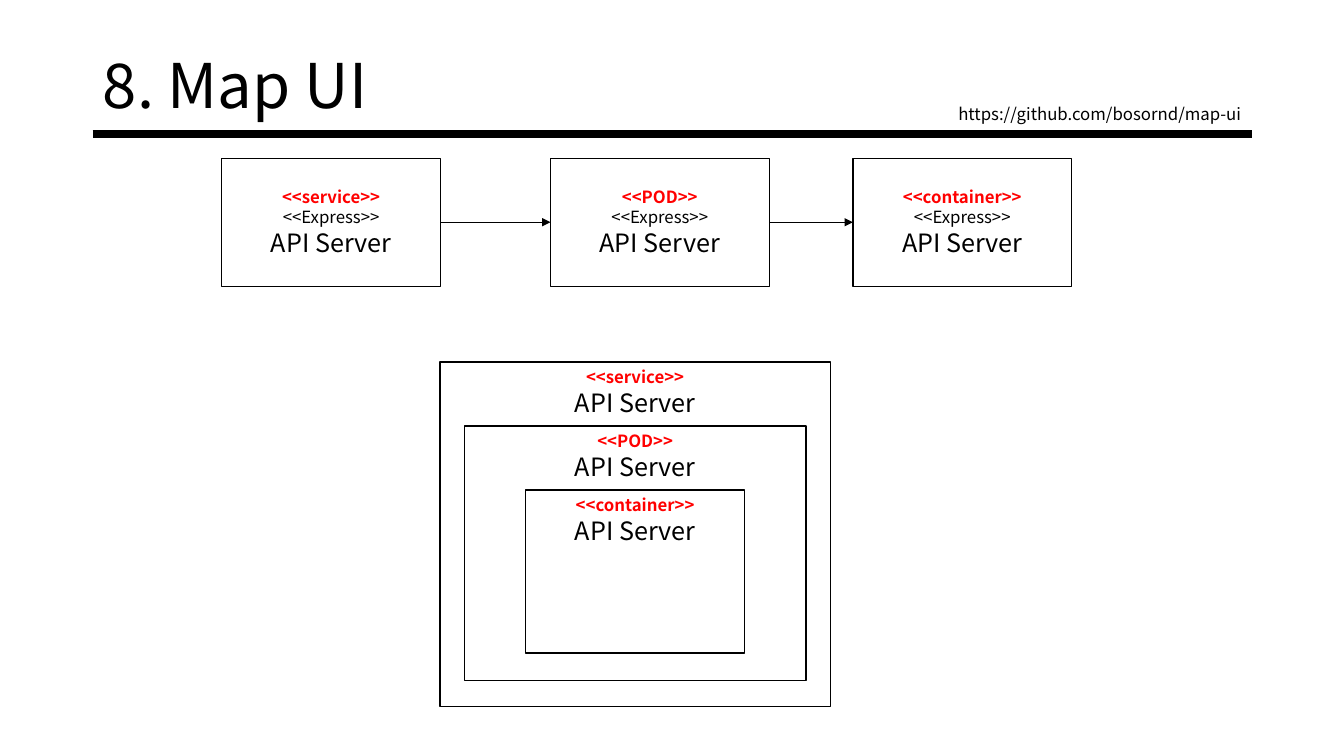
from dataclasses import dataclass

from lxml import etree
from pptx import Presentation
from pptx import util as u
from pptx.dml.color import RGBColor
from pptx.enum import shapes, text
from pptx.oxml import ns


@dataclass(frozen=True)
class Theme:
    font: str = "Noto Sans CJK KR"
    ink: str = "000000"
    paper: str = "FFFFFF"
    accent: str = "FF0000"
    title_size: int = 44
    name_size: int = 18
    small_size: int = 12
    rule_width: float = 6
    box_width: float = 1
    arrow_width: float = 0.5


THEME = Theme()
STEREOTYPE = {"size": THEME.small_size, "color": THEME.accent, "bold": True}
FRAMEWORK = {"size": THEME.small_size}
NAME = {"size": THEME.name_size}
TITLE = {"size": THEME.title_size}

FLOW_TOP, FLOW_WIDTH, FLOW_HEIGHT = 1.57, 2.17, 1.27
FLOW = [("<<service>>", 2.2), ("<<POD>>", 5.46), ("<<container>>", 8.46)]
NEST_CENTER, NEST_TOP, NEST_STEP = 6.3, 3.59, 0.635
NEST = [("<<service>>", 3.87, 3.42), ("<<POD>>", 3.39, 2.53), ("<<container>>", 2.17, 1.62)]


def inches(*lengths):
    return [u.Inches(length) for length in lengths]


def write_lines(frame, lines, align, anchor):
    """Fill a text frame with (wording, format) lines, one paragraph each."""
    frame.word_wrap = True
    frame.vertical_anchor = anchor
    for index, (wording, style) in enumerate(lines):
        para = frame.add_paragraph() if index else frame.paragraphs[0]
        para.alignment = align
        span = para.add_run()
        span.text = wording
        values = {"name": THEME.font, "size": u.Pt(style["size"]), "bold": style.get("bold", False)}
        for key, value in values.items():
            setattr(span.font, key, value)
        span.font.color.rgb = RGBColor.from_string(style.get("color", THEME.ink))


def add_box(parent, place, lines, anchor):
    box = parent.add_shape(shapes.MSO_SHAPE.RECTANGLE, *inches(*place))
    box.shadow.inherit = False
    box.fill.solid()
    box.fill.fore_color.rgb = RGBColor.from_string(THEME.paper)
    box.line.color.rgb = RGBColor.from_string(THEME.ink)
    box.line.width = u.Pt(THEME.box_width)
    write_lines(box.text_frame, lines, text.PP_ALIGN.CENTER, anchor)
    return box


def add_line(page, ends, width):
    line = page.shapes.add_connector(shapes.MSO_CONNECTOR.STRAIGHT, *inches(*ends))
    line.line.color.rgb = RGBColor.from_string(THEME.ink)
    line.line.width = u.Pt(width)
    etree.SubElement(line._element.spPr, ns.qn("a:effectLst"))
    return line


def add_arrow(page, source, target):
    arrow = add_line(page, (0, 0, 1, 0), THEME.arrow_width)
    arrow.begin_connect(source, 3)
    arrow.end_connect(target, 1)
    etree.SubElement(arrow.line._get_or_add_ln(), ns.qn("a:tailEnd"), type="triangle")


def add_heading(page):
    add_line(page, (0.92, 1.33, 12.42, 1.33), THEME.rule_width)
    title = page.shapes.title
    title.left, title.top, title.width, title.height = inches(0.92, 0.4, 11.5, 0.96)
    write_lines(title.text_frame, [("8. Map UI", TITLE)],
                text.PP_ALIGN.LEFT, text.MSO_ANCHOR.MIDDLE)
    title.text_frame.auto_size = text.MSO_AUTO_SIZE.NONE
    title.text_frame.paragraphs[0].line_spacing = 0.9

    link = page.shapes.add_textbox(*inches(5.83, 0.98, 6.58, 0.3))
    write_lines(link.text_frame, [("https://github.com/bosornd/map-ui", FRAMEWORK)],
                text.PP_ALIGN.RIGHT, text.MSO_ANCHOR.BOTTOM)
    link.text_frame.auto_size = text.MSO_AUTO_SIZE.SHAPE_TO_FIT_TEXT


def add_flow(page):
    boxes = []
    for stereotype, left in FLOW:
        lines = [(stereotype, STEREOTYPE), ("<<Express>>", FRAMEWORK), ("API Server", NAME)]
        place = (left, FLOW_TOP, FLOW_WIDTH, FLOW_HEIGHT)
        boxes.append(add_box(page.shapes, place, lines, text.MSO_ANCHOR.MIDDLE))
    for source, target in zip(boxes, boxes[1:]):
        add_arrow(page, source, target)


def add_nest(page):
    """Draw the service, POD and container boxes one inside the other."""
    group = page.shapes.add_group_shape()
    for level, (stereotype, width, height) in enumerate(NEST):
        place = (NEST_CENTER - width / 2, NEST_TOP + level * NEST_STEP, width, height)
        lines = [(stereotype, STEREOTYPE), ("API Server", NAME)]
        add_box(group.shapes, place, lines, text.MSO_ANCHOR.TOP)


def main():
    deck = Presentation()
    deck.slide_width, deck.slide_height = inches(13.33, 7.5)
    page = deck.slides.add_slide(deck.slide_layouts[5])
    add_heading(page)
    add_flow(page)
    add_nest(page)
    deck.save("out.pptx")


if __name__ == "__main__":
    main()
